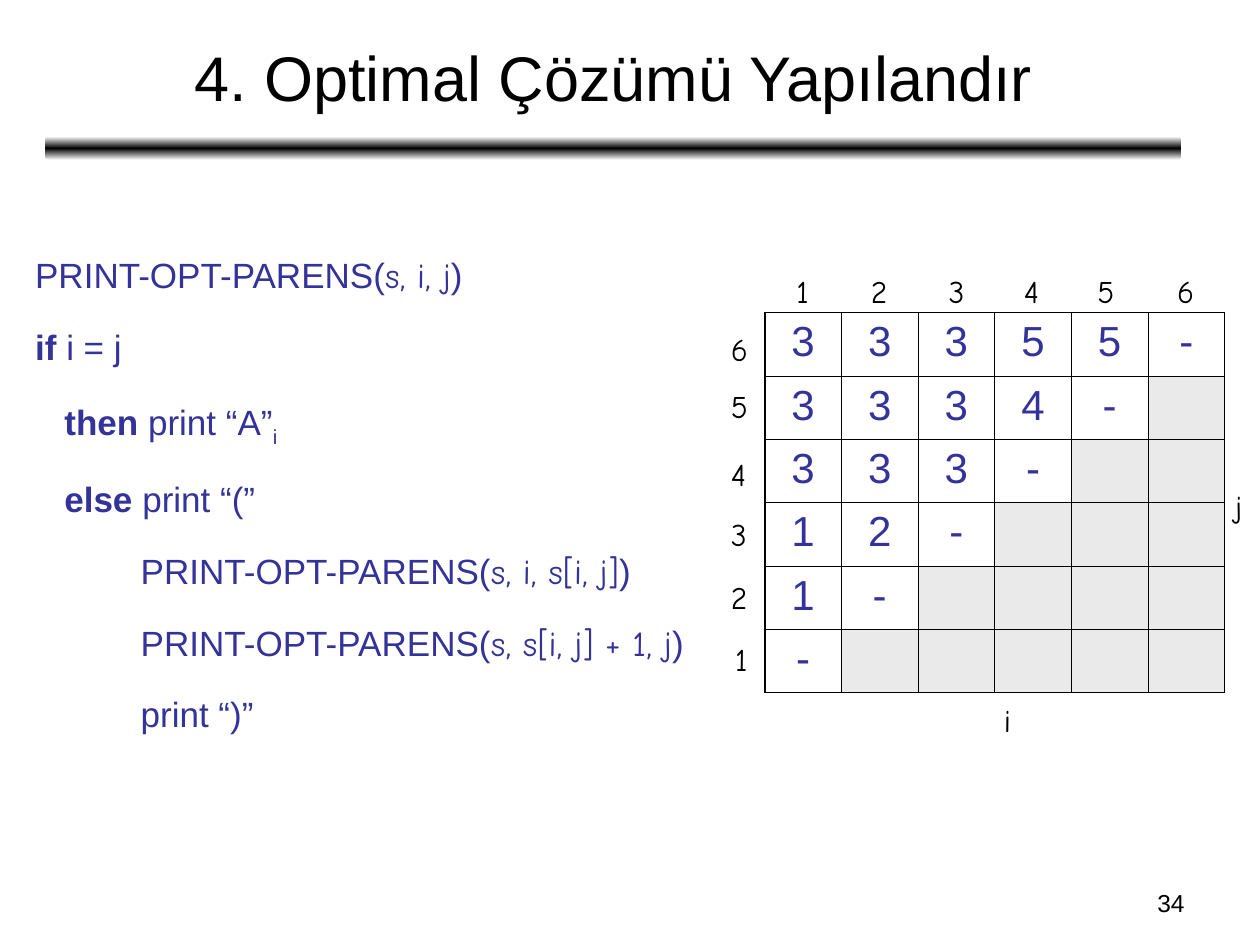
from copy import deepcopy
from dataclasses import dataclass

from lxml.etree import SubElement
from pptx import Presentation
from pptx.dml.color import RGBColor
from pptx.enum.shapes import MSO_SHAPE as Geo
from pptx.enum.text import MSO_ANCHOR as Anchor, MSO_AUTO_SIZE as Auto, PP_ALIGN as Align
from pptx.oxml.ns import qn
from pptx.slide import Slide
from pptx.util import Pt

SANS, COMIC = "Arial", "Comic Neue"
BLACK, WHITE, BLUE, GREY = "000000", "FFFFFF", "333399", "EAEAEA"
THIN, THICK = 0.45, 1.08


@dataclass
class Label:
    text: str
    left: float
    top: float
    width: float = 23.5
    height: float = 29
    size: float = 18
    font: str = COMIC
    align: Align = Align.LEFT
    anchor: Anchor = Anchor.TOP
    fit: bool = True


@dataclass
class Run:
    text: str
    font: str = SANS
    bold: bool = False
    sub: bool = False


def paint(color, code: str) -> None:
    color.rgb = RGBColor.from_string(code)


def style(font, name: str, size: float, code: str) -> None:
    font.name, font.size = name, Pt(size)
    paint(font.color, code)


def draw_label(slide: Slide, item: Label) -> None:
    box = slide.shapes.add_textbox(
        Pt(item.left), Pt(item.top), Pt(item.width), Pt(item.height))
    frame = box.text_frame
    frame.word_wrap = not item.fit
    frame.auto_size = Auto.SHAPE_TO_FIT_TEXT if item.fit else Auto.NONE
    frame.vertical_anchor = item.anchor
    par = frame.paragraphs[0]
    par.text, par.alignment = item.text, item.align
    style(par.font, item.font, item.size, BLACK)


def draw_bar(slide: Slide) -> None:
    bar = slide.shapes.add_shape(
        Geo.ROUNDED_RECTANGLE, Pt(26), Pt(78), Pt(649), Pt(13.5))
    bar.shadow.inherit = False
    bar.line.fill.background()
    bar.fill.gradient()
    bar.fill.gradient_angle = 90
    # A new gradient has two stops; a third one is added
    stops = bar._element.spPr.find(".//" + qn("a:gsLst"))
    stops.append(deepcopy(stops[-1]))
    for stop, pos, code in zip(bar.fill.gradient_stops, (0, 0.5, 1), (WHITE, BLACK, WHITE)):
        stop.position = pos
        paint(stop.color, code)


def draw_code(slide: Slide, lines: list[list[Run]]) -> None:
    box = slide.shapes.add_textbox(Pt(13), Pt(129.6), Pt(576), Pt(376.5))
    frame = box.text_frame
    frame.word_wrap = True
    for row, runs in enumerate(lines):
        par = frame.add_paragraph() if row else frame.paragraphs[0]
        par.line_spacing = 1.5
        par.space_before = Pt(5 if row else 0)
        props = par._p.get_or_add_pPr()
        props.set("marL", str(Pt(27)))
        props.set("indent", str(Pt(-27)))
        for part in runs:
            run = par.add_run()
            run.text = part.text
            style(run.font, part.font, 20, BLUE)
            run.font.bold = part.bold
            if part.sub:
                run.font._element.set("baseline", "-25000")


def add_edge(cell, side: str, width: float) -> None:
    line = SubElement(cell._tc.get_or_add_tcPr(), qn("a:ln" + side), w=str(Pt(width)))
    fill = SubElement(line, qn("a:solidFill"))
    SubElement(fill, qn("a:srgbClr"), val=BLACK)


def draw_grid(slide: Slide, rows: list[str]) -> None:
    count = len(rows)
    table = slide.shapes.add_table(
        count, count, Pt(437), Pt(178.6), Pt(262.8), Pt(217.2)).table
    table.first_row = table.horz_banding = False
    for line in table.rows:
        line.height = Pt(36.2)
    for line in table.columns:
        line.width = Pt(43.8)
    for r, row in enumerate(rows):
        for c in range(count):
            cell = table.cell(r, c)
            outer = {"L": c == 0, "R": c == count - 1, "T": r == 0, "B": r == count - 1}
            for side, thick in outer.items():
                add_edge(cell, side, THICK if thick else THIN)
            if c >= len(row):
                cell.fill.solid()
                paint(cell.fill.fore_color, GREY)
                continue
            cell.fill.background()
            par = cell.text_frame.paragraphs[0]
            par.text, par.alignment = row[c], Align.CENTER
            style(par.font, SANS, 24, BLUE)


def main() -> None:
    deck = Presentation()
    deck.slide_width, deck.slide_height = Pt(720), Pt(540)
    slide = deck.slides.add_slide(deck.slide_layouts[6])

    # Heading, rule and page number
    draw_bar(slide)
    draw_label(slide, Label("34", 516, 504, 168, 25, 14, SANS, Align.RIGHT, fit=False))
    draw_label(slide, Label("4. Optimal Çözümü Yapılandır", 26.5, 8, 648, 71.5, 36,
                            SANS, Align.CENTER, Anchor.MIDDLE, False))

    # Table of split points, with its column and row numbers
    draw_grid(slide, ["33355-", "3334-", "333-", "12-", "1-", "-"])
    lefts = (448, 490.5, 535, 578, 620, 665.5)
    tops = (362, 327, 291, 256.5, 217.5, 185)
    for num, (left, top) in enumerate(zip(lefts, tops), 1):
        draw_label(slide, Label(str(num), left, 152))
        draw_label(slide, Label(str(num), 413 if num == 1 else 410.5, top))
    draw_label(slide, Label("i", 566.5, 397, 18))
    draw_label(slide, Label("j", 698.5, 274.5, 21.5, fit=False))

    # Pseudocode
    call = "PRINT-OPT-PARENS("
    deep = "\t      "
    draw_code(slide, [
        [Run(call), Run("s, i, j", COMIC), Run(")")],
        [Run("if", bold=True), Run(" i = j")],
        [Run("   "), Run("then", bold=True), Run(" print “A”"), Run("i", sub=True)],
        [Run("   "), Run("else", bold=True), Run(" print “(”")],
        [Run(deep + call), Run("s, i, s[i, j]", COMIC), Run(")")],
        [Run(deep + call), Run("s, s[i, j] + 1, j", COMIC), Run(")")],
        [Run(deep + "print “)”")],
    ])
    deck.save("out.pptx")


if __name__ == "__main__":
    main()
